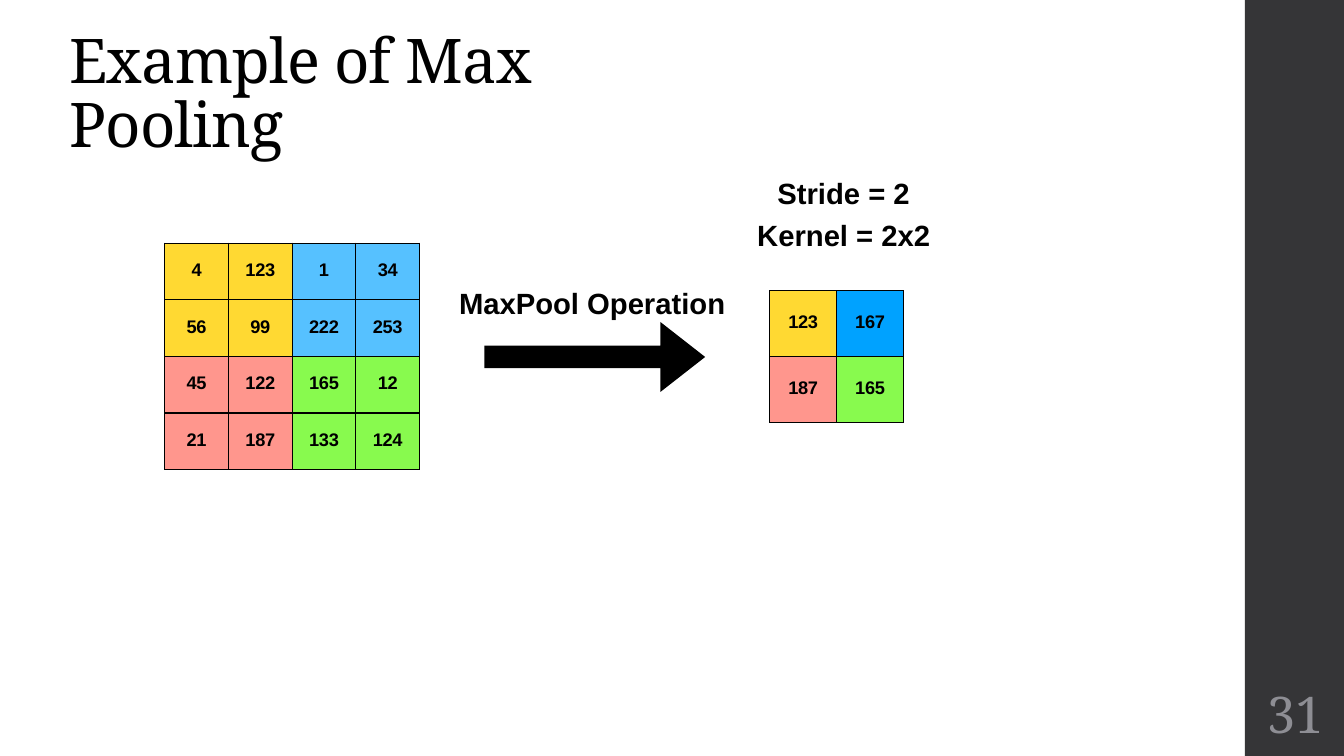
from lxml.etree import SubElement
from pptx import Presentation
from pptx.dml.color import RGBColor
from pptx.enum.shapes import MSO_SHAPE as Preset
from pptx.enum.text import MSO_ANCHOR as Anchor, MSO_AUTO_SIZE as AutoSize, PP_ALIGN as Align
from pptx.oxml.ns import qn
from pptx.util import Pt

YELLOW, SKY, BLUE, PINK, GREEN = "FFD932", "56C1FF", "00A2FF", "FF968D", "88FA4E"


def color(hex_string):
    return RGBColor.from_string(hex_string)


class SlideBuilder:
    heading_font, body_font = "Noto Serif", "Arial"
    ink, bar, muted = "000000", "353537", "8E8E94"

    def __init__(self, presentation):
        self.slide = presentation.slides.add_slide(presentation.slide_layouts[5])

    def style(self, paragraph, size, font, bold=False, ink=None, tracking=0.0):
        paragraph.font.size = Pt(size)
        paragraph.font.name = font
        paragraph.font.bold = bold
        paragraph.font.color.rgb = color(ink or self.ink)
        for run in paragraph.runs:
            run._r.get_or_add_rPr().set("spc", str(round(tracking * 100)))

    def frame(self, shape, anchor):
        frame = shape.text_frame
        frame.word_wrap = True
        frame.auto_size = AutoSize.NONE
        frame.vertical_anchor = anchor
        frame.margin_left = frame.margin_top = frame.margin_right = frame.margin_bottom = 0
        return frame

    def title(self, text, left, top, width, height):
        title = self.slide.shapes.title
        title.left, title.top, title.width, title.height = map(Pt, (left, top, width, height))
        frame = self.frame(title, Anchor.MIDDLE)
        frame.text = text
        paragraph = frame.paragraphs[0]
        paragraph.alignment = Align.LEFT
        paragraph.line_spacing = 0.87
        self.style(paragraph, 44, self.heading_font, tracking=-0.7)

    def preset(self, kind, left, top, width, height, fill, adjustments=()):
        shape = self.slide.shapes.add_shape(kind, *map(Pt, (left, top, width, height)))
        shape.shadow.inherit = False
        shape.fill.solid()
        shape.fill.fore_color.rgb = color(fill)
        shape.line.fill.background()
        for index, value in enumerate(adjustments):
            shape.adjustments[index] = value

    def text_box(self, left, top, width, height, anchor=Anchor.TOP):
        box = self.slide.shapes.add_textbox(*map(Pt, (left, top, width, height)))
        return self.frame(box, anchor)

    def labels(self, settings, operation, left, top, width, height):
        frame = self.text_box(left, top, width, height)
        first = frame.paragraphs[0]
        first.text = settings
        first.line_spacing = 1.2
        first.space_before = Pt(0.6)
        properties = first._p.get_or_add_pPr()
        properties.set("marL", str(Pt(213)))
        properties.set("indent", str(Pt(14.4)))
        second = frame.add_paragraph()
        second.text = operation
        second.space_before = Pt(23.2)
        for paragraph in frame.paragraphs:
            self.style(paragraph, 20.9, self.body_font, bold=True)

    def page_number(self, text, left, top, width, height):
        paragraph = self.text_box(left, top, width, height, Anchor.MIDDLE).paragraphs[0]
        paragraph.text = text
        paragraph.alignment = Align.CENTER
        self.style(paragraph, 36, self.heading_font, ink=self.muted)

    def matrix(self, values, fills, block, left, top, cell_width, cell_height):
        """Draw a table whose square blocks of cells share a fill."""
        count = len(values)
        table = self.slide.shapes.add_table(
            count, count, Pt(left), Pt(top), Pt(cell_width * count), Pt(cell_height * count)).table
        table.first_row = table.horz_banding = False
        for row, numbers in enumerate(values):
            table.rows[row].height = Pt(cell_height)
            table.columns[row].width = Pt(cell_width)
            for column, number in enumerate(numbers):
                self.cell(table.cell(row, column), number, fills[row // block][column // block])

    def cell(self, cell, number, fill):
        cell.margin_left = cell.margin_right = cell.margin_top = 0
        cell.margin_bottom = Pt(2)
        cell.vertical_anchor = Anchor.MIDDLE
        cell.text = str(number)
        paragraph = cell.text_frame.paragraphs[0]
        paragraph.alignment = Align.CENTER
        self.style(paragraph, 13, self.body_font, bold=True, tracking=-0.2)
        # Borders come before the fill in the cell properties
        properties = cell._tc.get_or_add_tcPr()
        for side in ("a:lnL", "a:lnR", "a:lnT", "a:lnB"):
            line = SubElement(properties, qn(side), w=str(Pt(1)))
            SubElement(SubElement(line, qn("a:solidFill")), qn("a:srgbClr"), val=self.ink)
        cell.fill.solid()
        cell.fill.fore_color.rgb = color(fill)


def main():
    presentation = Presentation()
    presentation.slide_width, presentation.slide_height = Pt(960), Pt(540)
    builder = SlideBuilder(presentation)

    # Side bar and title
    builder.preset(Preset.RECTANGLE, 889.2, 0, 70.8, 540, builder.bar)
    builder.title("Example of Max Pooling", 49.5, 41.8, 472, 54)

    # Input and pooled matrices
    inputs = [[4, 123, 1, 34], [56, 99, 222, 253], [45, 122, 165, 12], [21, 187, 133, 124]]
    builder.matrix(inputs, [[YELLOW, SKY], [PINK, GREEN]], 2, 117.7, 173.8, 45.5, 40.4)
    pooled = [[123, 167], [187, 165]]
    builder.matrix(pooled, [[YELLOW, BLUE], [PINK, GREEN]], 1, 549.8, 207.7, 47.8, 47)

    # Operation arrow and labels
    builder.preset(Preset.RIGHT_ARROW, 346, 230, 157.7, 50, builder.ink, (0.32, 0.64))
    builder.labels("Stride = 2\vKernel = 2x2", "MaxPool Operation", 327.9, 120.2, 338.4, 110)

    # Page number
    builder.page_number("31", 889.2, 486, 72, 46.8)
    presentation.save("out.pptx")


if __name__ == "__main__":
    main()
